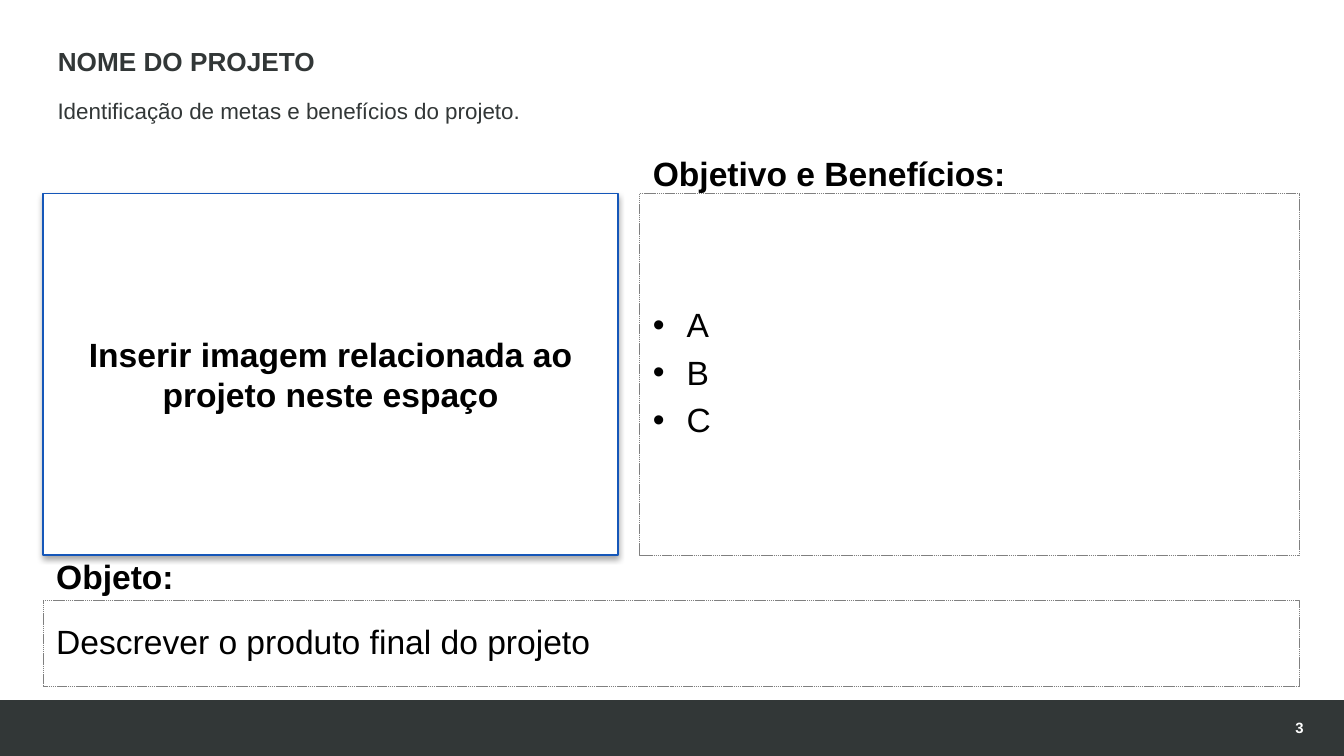
"""Build a project slide with its goals, benefits and final product."""
from dataclasses import dataclass

from lxml.etree import SubElement
from pptx import Presentation
from pptx.dml.color import RGBColor
from pptx.enum.dml import MSO_LINE
from pptx.enum.shapes import MSO_SHAPE as Preset
from pptx.enum.text import MSO_ANCHOR as Anchor, MSO_AUTO_SIZE as AutoSize, PP_ALIGN as Align
from pptx.oxml.ns import qn
from pptx.util import Inches, Pt


@dataclass(frozen=True)
class Theme:
    font: str = "Arial"
    dark: str = "323737"
    black: str = "000000"
    white: str = "FFFFFF"
    gray: str = "808080"
    blue: str = "1557B9"
    title: int = 14
    subtitle: int = 12
    body: int = 18
    number: int = 8


theme = Theme()


def write(shape, lines, size, color, bold=False, align=Align.LEFT, anchor=Anchor.MIDDLE):
    """Fill a shape with evenly formatted paragraphs and return them."""
    frame = shape.text_frame
    frame.text = "\n".join(lines)
    frame.word_wrap = True
    frame.auto_size = AutoSize.NONE
    frame.vertical_anchor = anchor
    for paragraph in frame.paragraphs:
        paragraph.alignment = align
        paragraph.font.name = theme.font
        paragraph.font.size = Pt(size)
        paragraph.font.bold = bold
        paragraph.font.color.rgb = RGBColor.from_string(color)
    return frame.paragraphs


def add_box(left, top, width, height, fill=None, line=None, line_width=0.25):
    """Add a flat rectangle with an optional fill and outline."""
    shape = slide.shapes.add_shape(
        Preset.RECTANGLE, Inches(left), Inches(top), Inches(width), Inches(height))
    shape.shadow.inherit = False
    if fill:
        shape.fill.solid()
        shape.fill.fore_color.rgb = RGBColor.from_string(fill)
    else:
        shape.fill.background()
    if line:
        shape.line.color.rgb = RGBColor.from_string(line)
        shape.line.width = Pt(line_width)
    else:
        shape.line.fill.background()
    return shape


presentation = Presentation()
presentation.slide_width = Inches(10)
presentation.slide_height = Inches(10) * 9 // 16
slide = presentation.slides.add_slide(presentation.slide_layouts[5])

left, right = 0.32, 9.67
benefits_left = 4.76
panel_top, panel_height = 1.44, 2.69

title = slide.shapes.title
title.left, title.top = Inches(0.33), Inches(0.29)
title.width, title.height = Inches(9.36), Inches(0.37)
write(title, ["NOME DO PROJETO"], theme.title, theme.dark, bold=True, anchor=Anchor.TOP)

add_box(-0.01, 5.21, 10.01, 0.42, fill=theme.dark)

labels = [
    (0.33, 0.67, 9.18, 0.82, "Identificação de metas e benefícios do projeto.",
     theme.subtitle, theme.dark, False, Align.JUSTIFY, Anchor.TOP),
    (benefits_left, 1.15, 3.24, 0.27, "Objetivo e Benefícios:",
     theme.body, theme.black, True, Align.LEFT, Anchor.MIDDLE),
    (left, 4.14, 2.1, 0.3, "Objeto:",
     theme.body, theme.black, True, Align.LEFT, Anchor.MIDDLE),
    (9.54, 5.29, 0.45, 0.25, "3",
     theme.number, theme.white, True, Align.LEFT, Anchor.MIDDLE),
]
for x, y, width, height, text, *style in labels:
    label = slide.shapes.add_textbox(Inches(x), Inches(y), Inches(width), Inches(height))
    write(label, [text], *style)

benefits = add_box(benefits_left, panel_top, right - benefits_left, panel_height, line=theme.gray)
benefits.line.dash_style = MSO_LINE.SQUARE_DOT
for paragraph in write(benefits, ["A", "B", "C"], theme.body, theme.black, align=Align.JUSTIFY):
    paragraph.line_spacing = 0.9
    paragraph.space_before = Pt(6)
    properties = paragraph._p.get_or_add_pPr()
    properties.set("marL", str(Inches(0.25)))
    properties.set("indent", str(-Inches(0.25)))
    SubElement(properties, qn("a:buFont"), typeface=theme.font)
    SubElement(properties, qn("a:buChar"), char="•")
    properties.append(properties.find(qn("a:defRPr")))

product = add_box(left, 4.47, right - left, 0.64, fill=theme.white, line=theme.gray)
product.line.dash_style = MSO_LINE.SQUARE_DOT
for paragraph in write(product, ["Descrever o produto final do projeto"],
                       theme.body, theme.black, align=Align.JUSTIFY):
    paragraph.line_spacing = 0.9
    paragraph.space_before = Pt(10)

image_area = add_box(left, panel_top, 4.28, panel_height, theme.white, theme.blue, 0.75)
write(image_area, ["Inserir imagem relacionada ao projeto neste espaço"],
      theme.body, theme.black, bold=True, align=Align.CENTER)
effects = image_area._element.spPr.find(qn("a:effectLst"))
shadow = SubElement(effects, qn("a:outerShdw"), blurRad=str(Pt(3.1)), dist=str(Pt(1.8)),
                    dir="5400000", rotWithShape="0")
shadow_color = SubElement(shadow, qn("a:srgbClr"), val=theme.black)
SubElement(shadow_color, qn("a:alpha"), val="35000")

presentation.save("out.pptx")
